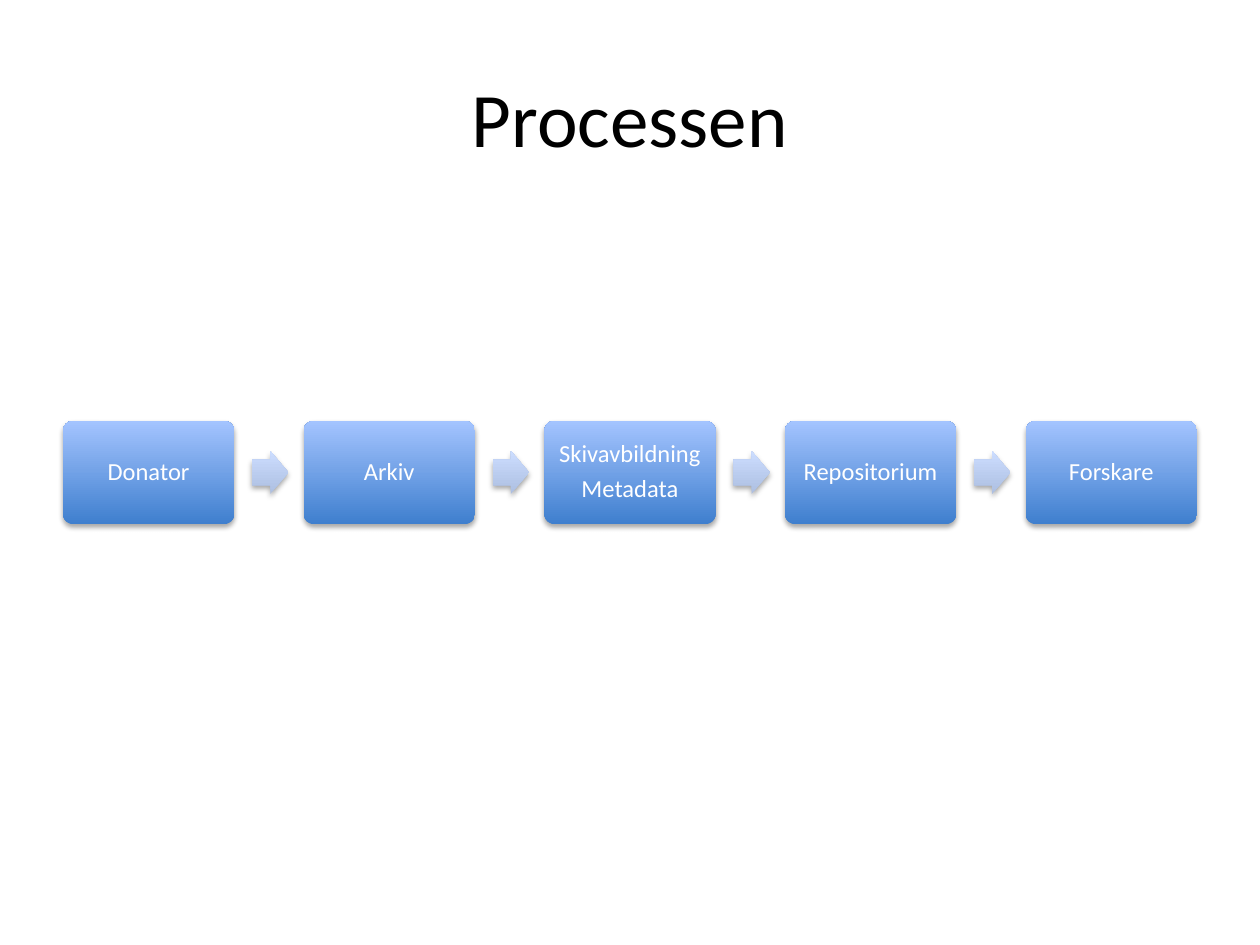
from lxml import etree
from pptx import Presentation
from pptx.dml.color import RGBColor
from pptx.enum.shapes import MSO_SHAPE
from pptx.enum.text import MSO_ANCHOR, PP_ALIGN
from pptx.oxml.ns import qn
from pptx.util import Inches, Pt

ROUNDED = MSO_SHAPE.ROUNDED_RECTANGLE
ARROW = MSO_SHAPE.RIGHT_ARROW
MIDDLE = MSO_ANCHOR.MIDDLE
CENTER = PP_ALIGN.CENTER

BLACK = RGBColor(0x00, 0x00, 0x00)
WHITE = RGBColor(0xFF, 0xFF, 0xFF)
STEP_BOTTOM = RGBColor(0x3F, 0x7F, 0xCE)
STEP_TOP = RGBColor(0xA4, 0xC4, 0xFF)
ARROW_BOTTOM = RGBColor(0xAD, 0xBF, 0xE1)
ARROW_TOP = RGBColor(0xCC, 0xDD, 0xFF)

STEPS = [["Donator"], ["Arkiv"], ["Skivavbildning", "Metadata"],
         ["Repositorium"], ["Forskare"]]

# Process row, in inches
LEFT, ROW_WIDTH, MID_Y = 0.5, 9, 3.75
STEP_W, STEP_H = 1.36, 0.82
ARROW_W, ARROW_H = 0.29, 0.34
PITCH = (ROW_WIDTH - STEP_W) / (len(STEPS) - 1)
ARROW_OFFSET = 1.5


class ProcessSlide:
    font_name = "Calibri"
    title_size = Pt(44)
    step_size = Pt(14)

    def __init__(self, slide):
        self.slide = slide
        self.row = slide.shapes.add_group_shape()

    def add_run(self, paragraph, text, size, color):
        run = paragraph.add_run()
        run.text = text
        run.font.name = self.font_name
        run.font.size = size
        run.font.color.rgb = color

    def title(self, text):
        title = self.slide.shapes.title
        title.left, title.top = Inches(0.5), Inches(0.3)
        title.width, title.height = Inches(9), Inches(1.25)
        title.text_frame.vertical_anchor = MIDDLE
        paragraph = title.text_frame.paragraphs[0]
        paragraph.alignment = CENTER
        self.add_run(paragraph, text, self.title_size, BLACK)

    def add_shadow(self, shape):
        shape.shadow.inherit = False
        effects = shape._element.spPr.find(qn("a:effectLst"))
        shadow = etree.SubElement(
            effects, qn("a:outerShdw"), blurRad=str(Pt(3.1)),
            dist=str(Pt(1.8)), dir="5400000", rotWithShape="0")
        color = etree.SubElement(shadow, qn("a:srgbClr"), val="000000")
        etree.SubElement(color, qn("a:alpha"), val="35000")

    def raised_shape(self, kind, left, width, height, adjustments, bottom, top):
        shape = self.row.shapes.add_shape(
            kind, Inches(left), Inches(MID_Y - height / 2),
            Inches(width), Inches(height))
        for index, value in enumerate(adjustments):
            shape.adjustments[index] = value
        shape.fill.gradient()
        shape.fill.gradient_angle = 90
        for stop, color, position in zip(
                shape.fill.gradient_stops, (bottom, top), (0, 1)):
            stop.color.rgb = color
            stop.position = position
        shape.line.fill.background()
        self.add_shadow(shape)
        return shape

    def step(self, left, lines):
        box = self.raised_shape(ROUNDED, left, STEP_W, STEP_H, [0.1],
                                STEP_BOTTOM, STEP_TOP)
        frame = box.text_frame
        frame.word_wrap = True
        frame.vertical_anchor = MIDDLE
        frame.margin_left = frame.margin_right = Inches(0.08)
        frame.margin_top = frame.margin_bottom = Inches(0.08)
        for index, line in enumerate(lines):
            paragraph = frame.add_paragraph() if index else frame.paragraphs[0]
            paragraph.alignment = CENTER
            paragraph.line_spacing = 0.9
            paragraph.space_after = Pt(4.9)
            self.add_run(paragraph, line, self.step_size, WHITE)

    def arrow(self, left):
        self.raised_shape(ARROW, left, ARROW_W, ARROW_H, [0.6, 0.5],
                          ARROW_BOTTOM, ARROW_TOP)


def main():
    presentation = Presentation()
    presentation.slide_width = Inches(10)
    presentation.slide_height = Inches(7.5)
    title_only = presentation.slide_layouts[5]
    process = ProcessSlide(presentation.slides.add_slide(title_only))

    process.title("Processen")

    # Steps with an arrow between each pair
    for index, lines in enumerate(STEPS):
        left = LEFT + index * PITCH
        process.step(left, lines)
        if index < len(STEPS) - 1:
            process.arrow(left + ARROW_OFFSET)

    presentation.save("out.pptx")


if __name__ == "__main__":
    main()
